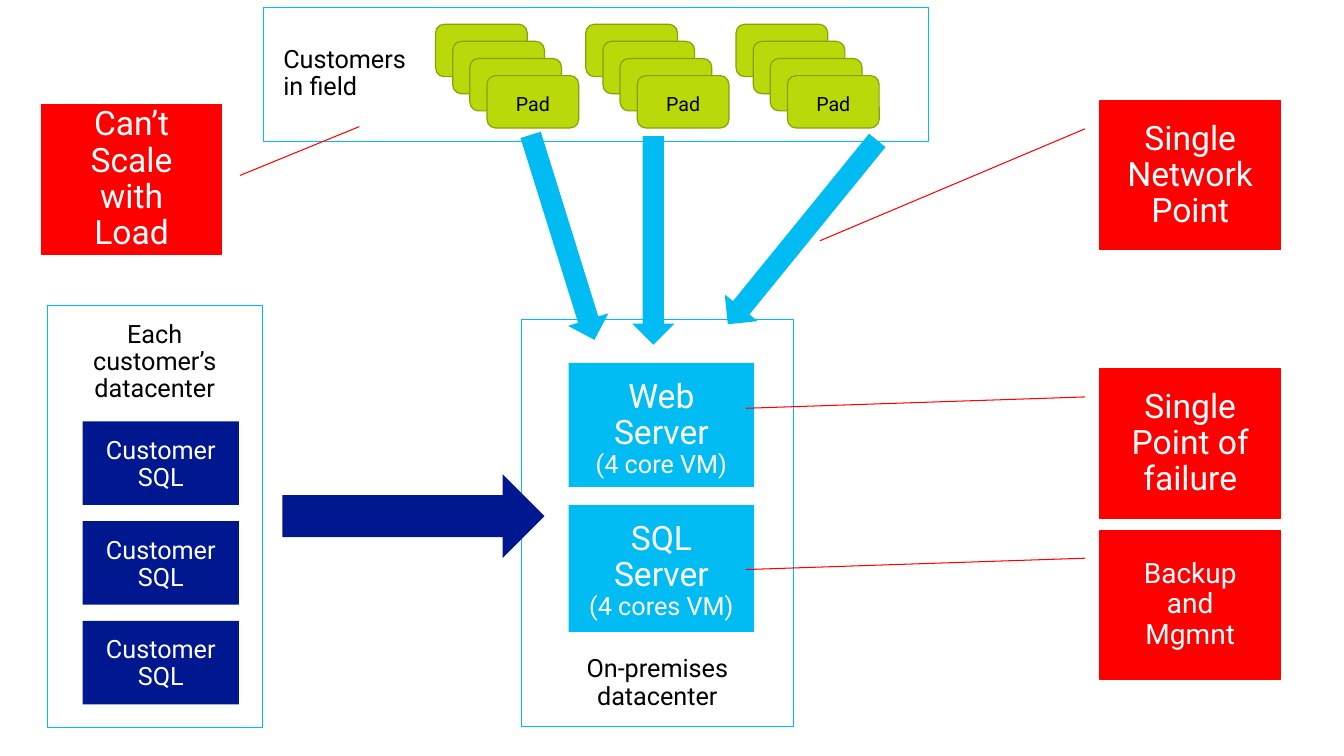
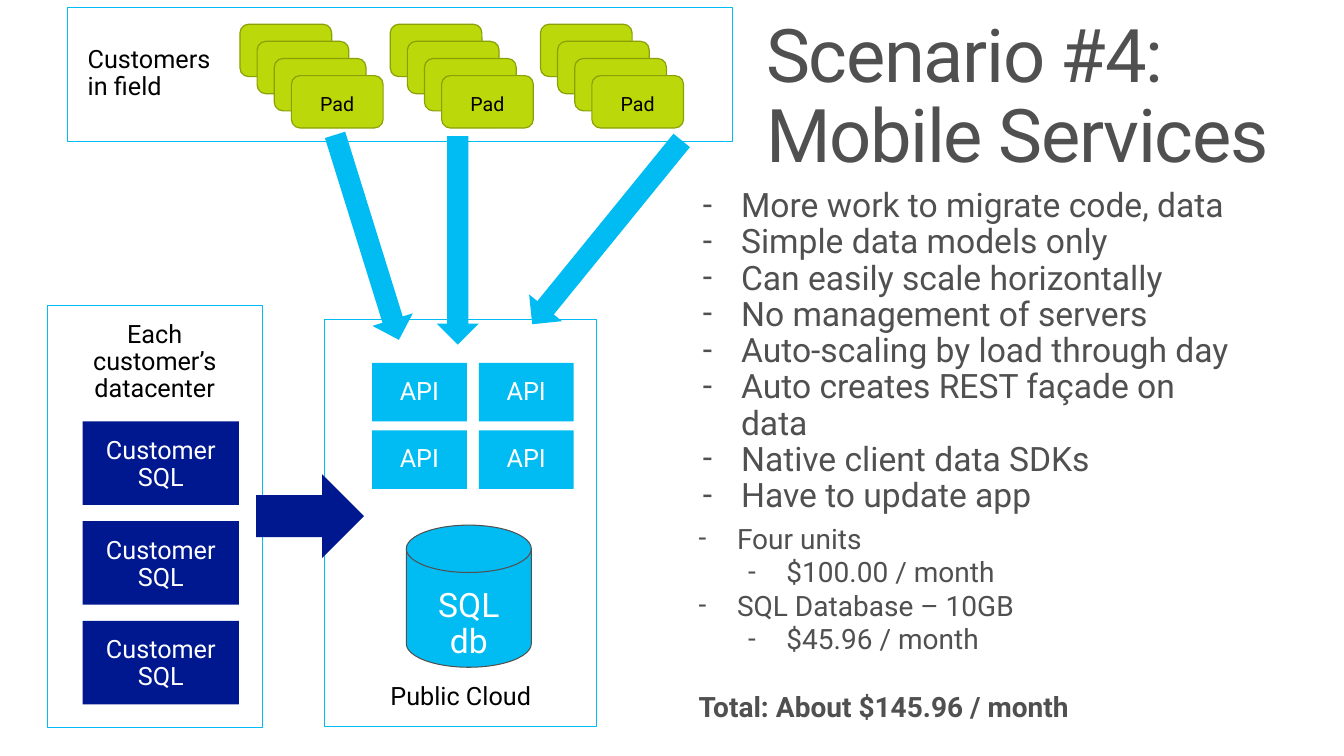
import pptx
import pptx.dml.color
import pptx.enum.shapes
import pptx.enum.text
import pptx.oxml.ns
import pptx.util
from lxml import etree

Inches = pptx.util.Inches
Pt = pptx.util.Pt
PRESET = pptx.enum.shapes.MSO_SHAPE
ANCHOR = pptx.enum.text.MSO_ANCHOR
ALIGN = pptx.enum.text.PP_ALIGN

# Shared style
FONT = "Roboto"
SKY, NAVY, RED = "00BCF2", "00188F", "FF0000"
LIME, OLIVE = "BAD80A", "8AA007"
GREY, BLACK, WHITE = "505050", "000000", "FFFFFF"
SHAPE_INSETS = (0.2, 0.16)
TITLE_INSETS = (0.16, 0.1)

# Content: text lines are (text, size)
FIELD_LABEL = [("Customers", 18), ("in field", 18)]
PAD_LABEL = [("Pad", 14)]
CUSTOMER_LABEL = [("Each customer’s datacenter", 18)]
CUSTOMER_SQL = [("Customer SQL", 18)]

SERVERS = [  # top, height, lines
    (3.6, 1.23, [("Web", 24), ("Server", 24), ("(4 core VM)", 18)]),
    (5.01, 1.26, [("SQL", 24), ("Server", 24), ("(4 cores VM)", 18)]),
]
PROBLEMS = [  # left, top, text, size, pointer (y1, x1, y2, x2)
    (10.91, 3.66, "Single Point of failure", 24, (0.188, -0.083, 0.264, -1.962)),
    (10.91, 5.26, "Backup and Mgmnt", 20, (0.188, -0.083, 0.264, -1.962)),
    (10.91, 1, "Single Network Point", 24, (0.188, -0.083, 0.939, -1.553)),
    (0.41, 1.04, "Can’t Scale with Load", 24, (0.473, 1.101, 0.146, 1.762)),
]

TITLE = "Scenario #4: Mobile Services"
TRAITS = [
    "More work to migrate code, data",
    "Simple data models only",
    "Can easily scale horizontally",
    "No management of servers",
    "Auto-scaling by load through day",
    "Auto creates REST façade on data",
    "Native client data SDKs",
    "Have to update app",
]
COSTS = [  # level, text
    (0, "Four units"),
    (1, "$100.00 / month"),
    (0, "SQL Database – 10GB"),
    (1, "$45.96 / month"),
]
TOTAL = "Total: About $145.96 / month"
INDENTS = (0.38, 0.87)
HANGING = 0.38


def rgb(value):
    return pptx.dml.color.RGBColor.from_string(value)


def set_up_frame(frame, insets, anchor):
    frame.word_wrap = True
    frame.auto_size = pptx.enum.text.MSO_AUTO_SIZE.NONE
    frame.vertical_anchor = anchor
    frame.margin_left = frame.margin_right = Inches(insets[0])
    frame.margin_top = frame.margin_bottom = Inches(insets[1])


def next_paragraph(frame, first):
    return frame.paragraphs[0] if first else frame.add_paragraph()


def add_run(paragraph, text, size, color, bold=False):
    run = paragraph.add_run()
    run.text = text
    run.font.name = FONT
    run.font.size = Pt(size)
    run.font.bold = bold
    run.font.color.rgb = rgb(color)
    return run


def add_part(shapes, preset, box, fill=None, line=None, line_width=0.75,
             lines=(), color=WHITE, anchor=ANCHOR.TOP, align=ALIGN.CENTER):
    part = shapes.add_shape(preset, *map(Inches, box))
    part.shadow.inherit = False
    if fill:
        part.fill.solid()
        part.fill.fore_color.rgb = rgb(fill)
    else:
        part.fill.background()
    if line:
        part.line.color.rgb = rgb(line)
        part.line.width = Pt(line_width)
    else:
        part.line.fill.background()
    set_up_frame(part.text_frame, SHAPE_INSETS, anchor)
    for index, (text, size) in enumerate(lines):
        paragraph = next_paragraph(part.text_frame, index == 0)
        paragraph.alignment = align
        paragraph.line_spacing = 0.9
        add_run(paragraph, text, size, color)
    return part


def add_arrow(shapes, box, fill, rotation=0):
    add_part(shapes, PRESET.DOWN_ARROW, box, fill).rotation = rotation


def add_site(shapes, left, label):
    add_part(shapes, PRESET.RECTANGLE, (left, 3.17, 2.7, 4.04), line=SKY,
             lines=[(label, 18)], color=BLACK, anchor=ANCHOR.BOTTOM)


def add_field(slide, left):
    """Customers in the field: three stacks of pads and their traffic."""
    shapes = slide.shapes.add_group_shape().shapes
    stacks, depth = 3, 4
    for stack in range(stacks):
        for layer in range(depth):
            box = (left + 1.71 + 1.49 * stack + 0.17 * layer,
                   0.24 + 0.17 * layer, 0.91, 0.52)
            add_part(shapes, PRESET.ROUNDED_RECTANGLE, box, LIME, OLIVE, 0.85,
                     PAD_LABEL if layer == depth - 1 else (), BLACK)
    for offset, top, height, rotation in [
            (2.76, 1.29, 2.13, 342.7), (3.66, 1.35, 2.07, 0), (5.14, 1.13, 2.35, 39.1)]:
        add_arrow(shapes, (left + offset, top, 0.42, height), SKY, rotation)
    add_part(shapes, PRESET.RECTANGLE, (left, 0.07, 6.6, 1.33), line=SKY,
             lines=FIELD_LABEL, color=BLACK, anchor=ANCHOR.MIDDLE, align=ALIGN.LEFT)


def add_customer_datacenter(slide, arrow_left, arrow_length):
    shapes = slide.shapes.add_group_shape().shapes
    for row in range(3):
        add_part(shapes, PRESET.RECTANGLE, (0.82, 4.18 + 0.99 * row, 1.55, 0.83),
                 NAVY, lines=CUSTOMER_SQL)
    add_part(shapes, PRESET.RECTANGLE, (0.47, 3.03, 2.13, 4.19), line=SKY,
             lines=CUSTOMER_LABEL, color=BLACK)
    # The down arrow is turned about its centre to point right
    breadth, middle = 0.83, 5.12
    add_arrow(shapes, (arrow_left + (arrow_length - breadth) / 2,
                       middle - arrow_length / 2, breadth, arrow_length), NAVY, 270)


def place_placeholder(placeholder, box, insets):
    placeholder.left, placeholder.top, placeholder.width, placeholder.height = map(Inches, box)
    set_up_frame(placeholder.text_frame, insets, ANCHOR.TOP)
    return placeholder.text_frame


def add_bullet(paragraph, level):
    properties = paragraph._p.get_or_add_pPr()
    properties.set("marL", str(Inches(INDENTS[level])))
    properties.set("indent", str(-Inches(HANGING)))
    font = etree.SubElement(properties, pptx.oxml.ns.qn("a:buFont"))
    font.set("typeface", FONT)
    mark = etree.SubElement(properties, pptx.oxml.ns.qn("a:buChar"))
    mark.set("char", "-")


def fill_list(frame, items, size, line_spacing):
    for index, (level, text) in enumerate(items):
        paragraph = next_paragraph(frame, index == 0)
        paragraph.level = level
        paragraph.line_spacing = line_spacing
        paragraph.space_before = Pt(0)
        add_bullet(paragraph, level)
        add_run(paragraph, text, size, GREY)


def build_on_premises(deck):
    slide = deck.slides.add_slide(deck.slide_layouts[6])
    datacenter = slide.shapes.add_group_shape().shapes
    for top, height, lines in SERVERS:
        add_part(datacenter, PRESET.RECTANGLE, (5.64, top, 1.84, height), SKY, lines=lines)
    add_site(datacenter, 5.17, "On-premises datacenter")
    add_field(slide, 2.61)
    for left, top, text, size, pointer in PROBLEMS:
        callout = add_part(slide.shapes, PRESET.LINE_CALLOUT_1, (left, top, 1.79, 1.48),
                           RED, RED, lines=[(text, size)], anchor=ANCHOR.MIDDLE)
        for index, value in enumerate(pointer):
            callout.adjustments[index] = value
    add_customer_datacenter(slide, 2.8, 2.6)


def build_mobile_services(deck):
    slide = deck.slides.add_slide(deck.slide_layouts[3])
    title, traits, costs = slide.placeholders

    # Title and lists
    heading = place_placeholder(title, (7.44, 0.08, 5.89, 0.98), TITLE_INSETS).paragraphs[0]
    heading.alignment = ALIGN.LEFT
    heading.line_spacing = 0.9
    run = add_run(heading, TITLE, 52.9, GREY)
    run.font._element.set("spc", "-100")
    fill_list(place_placeholder(traits, (6.77, 1.71, 5.77, 3.59), SHAPE_INSETS),
              [(0, trait) for trait in TRAITS], 24, 0.9)
    cost_frame = place_placeholder(costs, (6.73, 5.01, 4.3, 2.4), SHAPE_INSETS)
    fill_list(cost_frame, COSTS, 20, 1.0)
    total = cost_frame.add_paragraph()
    total.space_before = Pt(24)
    properties = total._p.get_or_add_pPr()
    properties.set("marL", "0")
    properties.set("indent", "0")
    etree.SubElement(properties, pptx.oxml.ns.qn("a:buNone"))
    add_run(total, TOTAL, 20, GREY, bold=True)

    # Cloud site with its grid of services
    cloud = slide.shapes.add_group_shape().shapes
    add_site(cloud, 3.22, "Public Cloud")
    for row in range(2):
        for column in range(2):
            add_part(cloud, PRESET.RECTANGLE,
                     (3.69 + 1.06 * column, 3.6 + 0.67 * row, 0.94, 0.58),
                     SKY, lines=[("API", 18)], anchor=ANCHOR.MIDDLE)
    add_field(slide, 0.67)
    add_customer_datacenter(slide, 2.54, 1.07)
    add_part(slide.shapes, PRESET.FLOWCHART_MAGNETIC_DISK, (4.03, 5.21, 1.24, 1.41),
             SKY, GREY, lines=[("SQL", 24), ("db", 24)])


def main():
    deck = pptx.Presentation()
    deck.slide_width, deck.slide_height = Inches(13.33), Inches(7.5)
    build_on_premises(deck)
    build_mobile_services(deck)
    deck.save("out.pptx")


if __name__ == "__main__":
    main()
